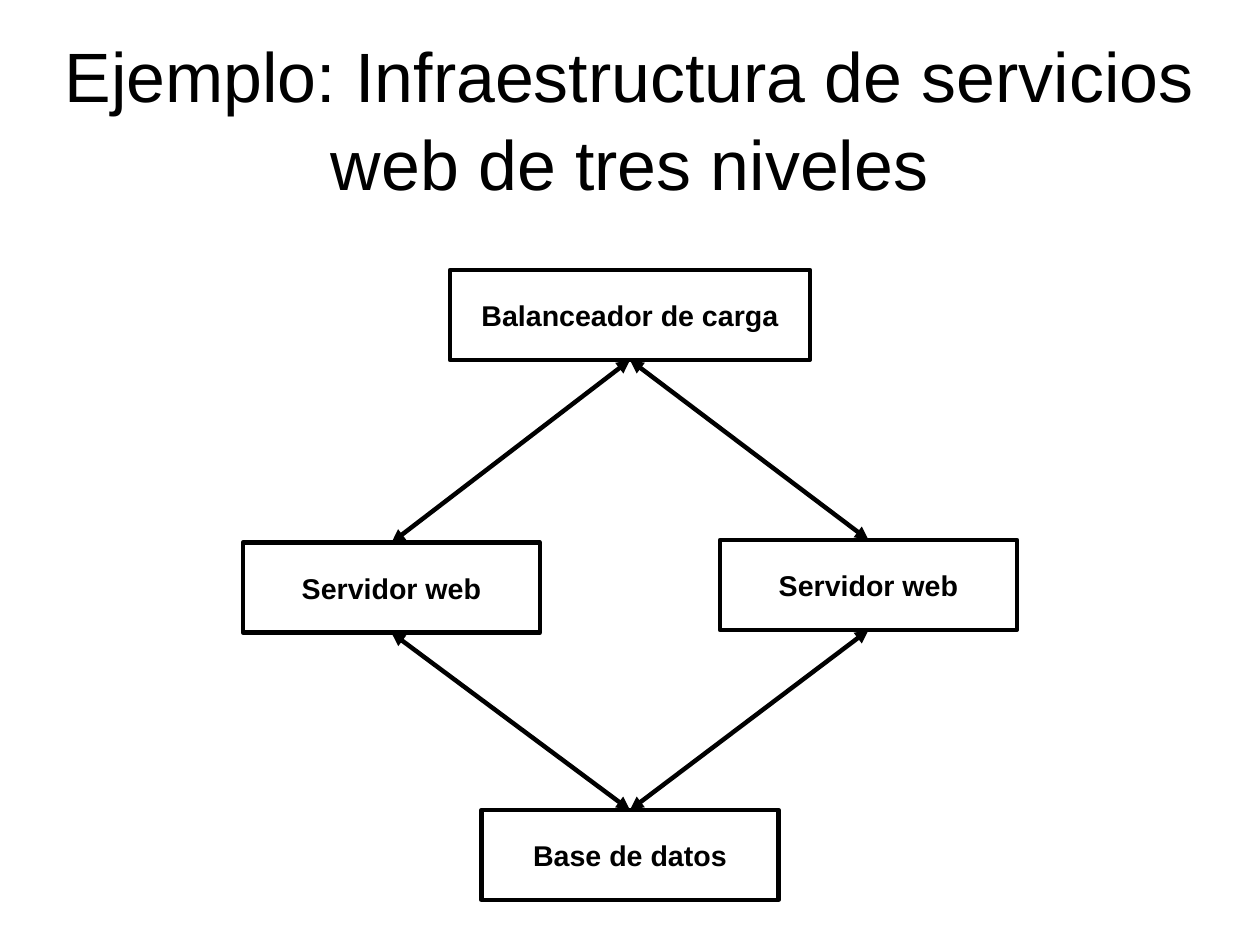
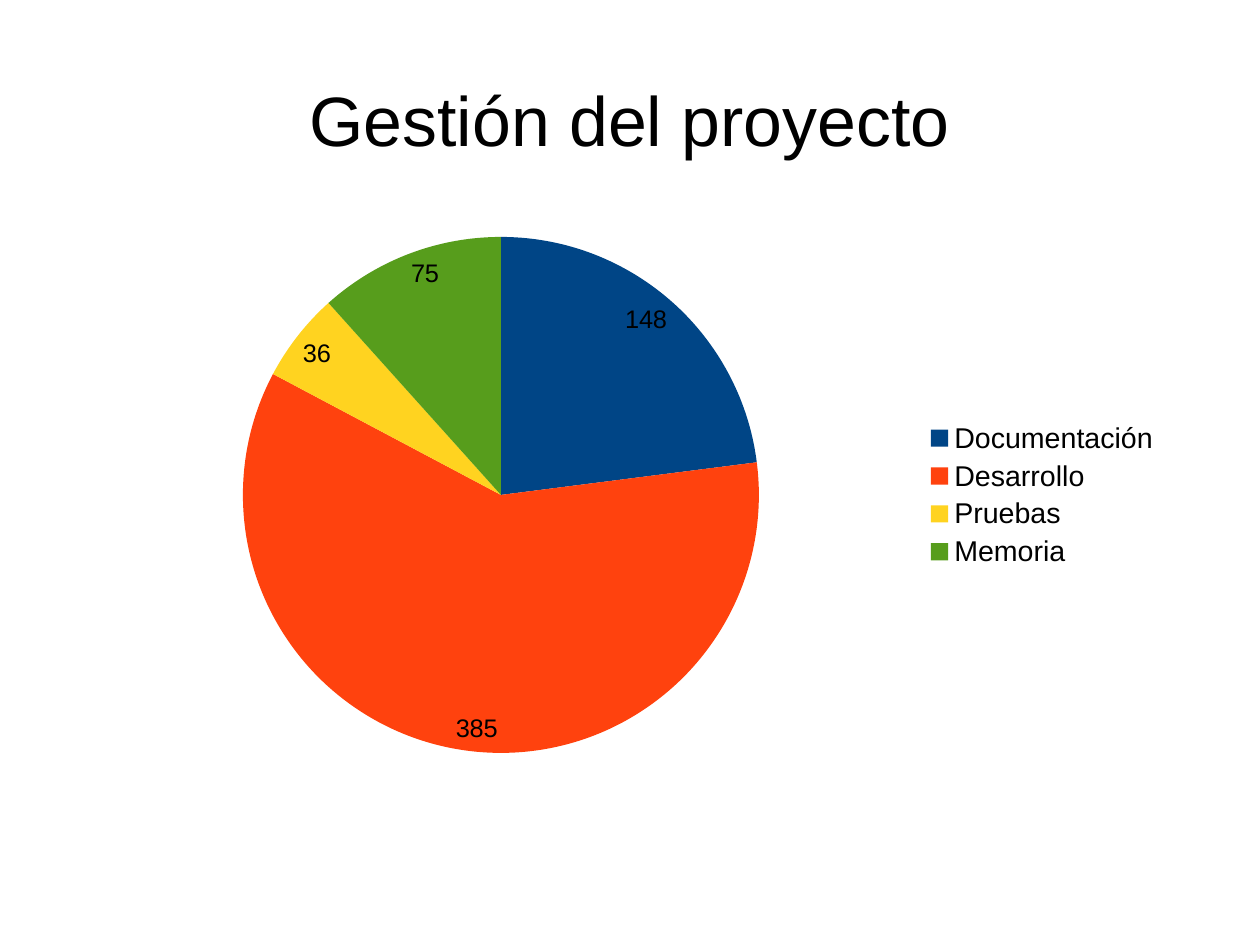
import pptx
import pptx.chart.data
import pptx.dml.color
import pptx.enum.chart
import pptx.enum.shapes
import pptx.enum.text
import pptx.oxml
import pptx.oxml.ns
import pptx.util

Cm = pptx.util.Cm
Pt = pptx.util.Pt
RGB = pptx.dml.color.RGBColor.from_string


# Colours and type sizes
class Theme:
    font = "Arial"
    ink = RGB("000000")
    paper = RGB("FFFFFF")
    slices = [RGB(code) for code in ("004586", "FF420E", "FFD320", "579D1C")]
    title = Pt(44)
    label = Pt(18)
    value = Pt(16)
    line = Pt(2.83)


def style(font, size, bold=False):
    font.name = Theme.font
    font.size = size
    font.bold = bold
    font.color.rgb = Theme.ink


def add_page(text):
    page = deck.slides.add_slide(deck.slide_layouts[5])
    title = page.shapes.title
    title.left, title.top, title.width, title.height = Cm(1.4), Cm(0.84), Cm(25.2), Cm(3.5)
    frame = title.text_frame
    frame.text = text
    frame.word_wrap = True
    frame.auto_size = pptx.enum.text.MSO_AUTO_SIZE.NONE
    frame.vertical_anchor = pptx.enum.text.MSO_ANCHOR.MIDDLE
    frame.margin_left = frame.margin_right = frame.margin_top = frame.margin_bottom = 0
    par = frame.paragraphs[0]
    par.alignment = pptx.enum.text.PP_ALIGN.CENTER
    par.line_spacing = 1.05
    style(par.runs[0].font, Theme.title)
    return page


deck = pptx.Presentation()
deck.slide_width = Cm(28)
deck.slide_height = Cm(21)

# Slide 1: three tiers
page = add_page("Ejemplo: Infraestructura de servicios web de tres niveles")

# Boxes: name, text, centre, top, width
tiers = [
    ("load", "Balanceador de carga", 14, 6, 8),
    ("left", "Servidor web", 8.7, 12.06, 6.6),
    ("right", "Servidor web", 19.3, 12, 6.6),
    ("data", "Base de datos", 14, 18, 6.6),
]
boxes = {}
for name, text, centre, top, width in tiers:
    box = page.shapes.add_shape(
        pptx.enum.shapes.MSO_SHAPE.RECTANGLE,
        Cm(centre - width / 2), Cm(top), Cm(width), Cm(2))
    box.shadow.inherit = False
    box.fill.solid()
    box.fill.fore_color.rgb = Theme.paper
    box.line.color.rgb = Theme.ink
    box.line.width = Theme.line
    frame = box.text_frame
    frame.text = text
    frame.word_wrap = False
    frame.vertical_anchor = pptx.enum.text.MSO_ANCHOR.MIDDLE
    frame.margin_left = frame.margin_right = Cm(0.3)
    frame.margin_top = frame.margin_bottom = Cm(0.18)
    frame.paragraphs[0].alignment = pptx.enum.text.PP_ALIGN.CENTER
    style(frame.paragraphs[0].runs[0].font, Theme.label, bold=True)
    boxes[name] = box

# Two-way arrows, from the bottom of one box to the top of the next
TOP, BOTTOM = 0, 2
for side in ("left", "right"):
    for upper, lower in (("load", side), (side, "data")):
        link = page.shapes.add_connector(
            pptx.enum.shapes.MSO_CONNECTOR.STRAIGHT, 0, 0, 0, 0)
        link.begin_connect(boxes[upper], BOTTOM)
        link.end_connect(boxes[lower], TOP)
        link.line.color.rgb = Theme.ink
        link.line.width = Theme.line
        line = link.line._get_or_add_ln()
        for end in ("a:headEnd", "a:tailEnd"):
            line.append(pptx.oxml.parse_xml(
                f'<{end} {pptx.oxml.ns.nsdecls("a")} type="triangle"/>'))
        link._element.spPr.append(pptx.oxml.parse_xml(
            f'<a:effectLst {pptx.oxml.ns.nsdecls("a")}/>'))

# Slide 2: effort pie
page = add_page("Gestión del proyecto")
data = pptx.chart.data.CategoryChartData()
data.categories = ["Documentación", "Desarrollo", "Pruebas", "Memoria"]
data.add_series("Series 1", [148, 385, 36, 75])
chart = page.shapes.add_chart(
    pptx.enum.chart.XL_CHART_TYPE.PIE,
    Cm(1.4), Cm(4.9), Cm(24.64), Cm(12.2), data).chart
chart.has_title = False
style(chart.font, Theme.label)

# Legend
chart.has_legend = True
chart.legend.position = pptx.enum.chart.XL_LEGEND_POSITION.RIGHT
chart.legend.include_in_layout = False
style(chart.legend.font, Theme.label)

# Slices and their values
plot = chart.plots[0]
plot.vary_by_categories = True
for spot, colour in enumerate(Theme.slices):
    fill = plot.series[0].points[spot].format.fill
    fill.solid()
    fill.fore_color.rgb = colour
plot.has_data_labels = True
labels = plot.data_labels
labels.show_value = True
labels.show_percentage = False
labels.number_format = "General"
labels.number_format_is_linked = False
labels.position = pptx.enum.chart.XL_LABEL_POSITION.INSIDE_END
style(labels.font, Theme.value)

# Place of the pie inside the chart
area = chart._chartSpace.chart.plotArea
for old in area.findall(pptx.oxml.ns.qn("c:layout")):
    area.remove(old)
area.insert(0, pptx.oxml.parse_xml(
    f'<c:layout {pptx.oxml.ns.nsdecls("c")}><c:manualLayout>'
    '<c:layoutTarget val="inner"/><c:xMode val="edge"/><c:yMode val="edge"/>'
    '<c:x val="0.16"/><c:y val="0.03"/><c:w val="0.47"/><c:h val="0.94"/>'
    '</c:manualLayout></c:layout>'))

deck.save("out.pptx")
